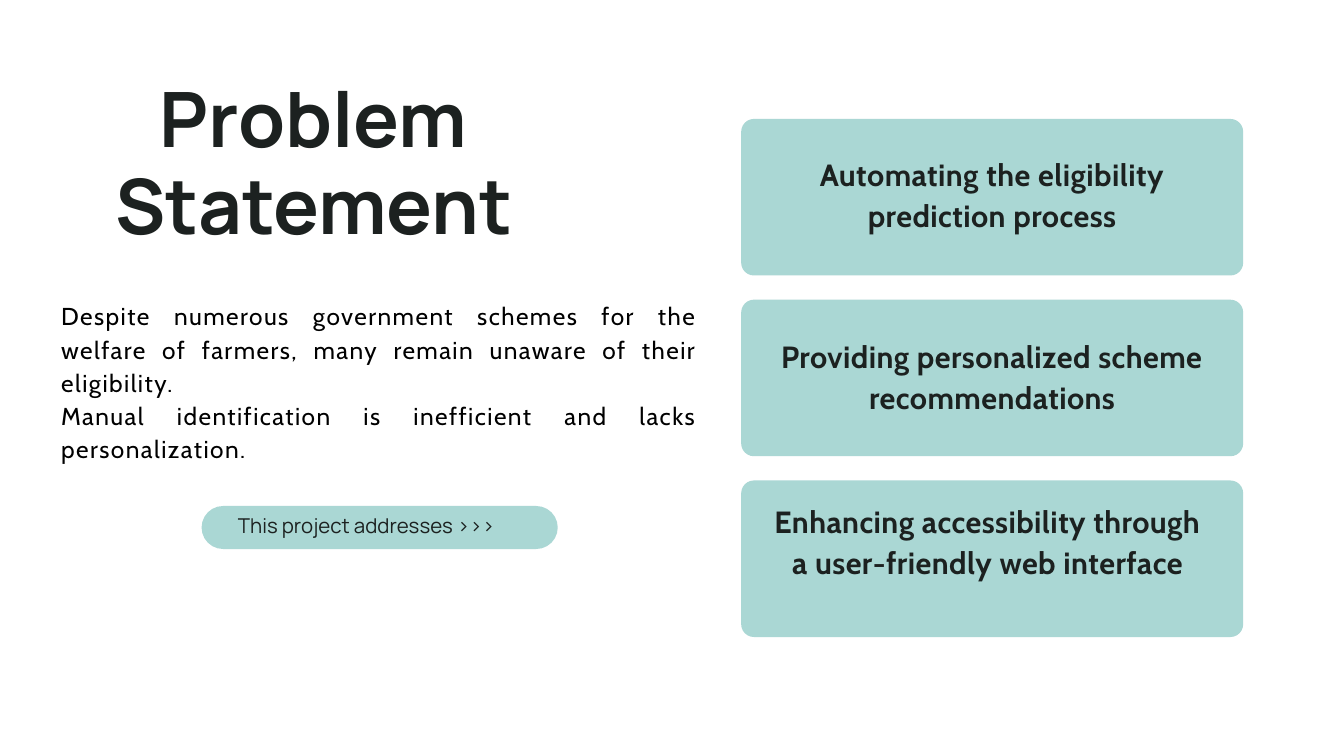
from pptx import Presentation
from pptx.dml.color import RGBColor
from pptx.enum.shapes import MSO_SHAPE
from pptx.enum.text import PP_ALIGN
from pptx.util import Inches, Pt

ROUND = MSO_SHAPE.ROUNDED_RECTANGLE
LEFT, MID, FULL = PP_ALIGN.LEFT, PP_ALIGN.CENTER, PP_ALIGN.JUSTIFY

# Content
TITLE = ["Problem Statement"]
BODY = [
    "Despite numerous government schemes for the welfare of farmers, "
    "many remain unaware of their eligibility.",
    "Manual identification is inefficient and lacks personalization.",
]
LABEL = ["This project addresses >>>"]
# Card text and its box: left, top, width, height
CARDS = [
    ("Automating the eligibility prediction process", (11.57, 2.25, 6.39, 2.02)),
    ("Providing personalized scheme recommendations", (11.57, 4.96, 6.39, 1.83)),
    ("Enhancing accessibility through a user-friendly web interface",
     (11.42, 7.41, 6.56, 2.44)),
]

# Theme: each style is font, size, line height, colour, bold, tracking, alignment
INK, BLACK, MINT = "1C2120", "000000", "AAD7D4"
THEME = {
    "title": ("Manrope", 81.8, 93.2, INK, True, 0, MID),
    "body": ("Cabin", 26.2, 35.5, BLACK, False, 1.6, FULL),
    "card": ("Cabin", 32.8, 44.2, INK, True, 0.5, MID),
    "label": ("Manrope", 21.9, 23.6, INK, False, 0, LEFT),
}

# Card column
CARD_X, CARD_Y, CARD_W, CARD_H, GAP = 11.03, 1.77, 7.47, 2.33, 0.36


def add_panel(slide, box, radius):
    """Add a mint rounded panel; radius is in inches."""
    panel = slide.shapes.add_shape(ROUND, *map(Inches, box))
    panel.adjustments[0] = radius / min(box[2:])
    panel.shadow.inherit = False
    panel.fill.solid()
    panel.fill.fore_color.rgb = RGBColor.from_string(MINT)
    panel.line.fill.background()


def add_text(slide, box, lines, style):
    """Add a text box with one paragraph per line, in a theme style."""
    face, size, lead, color, bold, track, align = THEME[style]
    frame = slide.shapes.add_textbox(*map(Inches, box)).text_frame
    frame.word_wrap = True
    frame.margin_left = frame.margin_right = 0
    frame.margin_top = frame.margin_bottom = 0
    frame.text = "\n".join(lines)
    for para in frame.paragraphs:
        para.alignment = align
        para.line_spacing = Pt(lead)
        font = para.font
        font.name, font.size, font.bold = face, Pt(size), bold
        font.color.rgb = RGBColor.from_string(color)
        if track:  # letter spacing, in hundredths of a point
            for run in para.runs:
                run._r.get_or_add_rPr().set("spc", str(round(track * 100)))


def main():
    deck = Presentation()
    deck.slide_width, deck.slide_height = Inches(20), Inches(11.25)
    slide = deck.slides.add_slide(deck.slide_layouts[6])

    # Title and problem text
    add_text(slide, (0, 1.13, 9.34, 2.69), TITLE, "title")
    add_text(slide, (0.91, 4.43, 9.47, 2.42), BODY, "body")

    # Cards
    for i, (text, box) in enumerate(CARDS):
        top = CARD_Y + i * (CARD_H + GAP)
        add_panel(slide, (CARD_X, top, CARD_W, CARD_H), 0.19)
        add_text(slide, box, [text], "card")

    # Pill label
    add_panel(slide, (3, 7.53, 5.3, 0.64), 0.32)
    add_text(slide, (3.54, 7.67, 4.22, 0.35), LABEL, "label")

    deck.save("out.pptx")


if __name__ == "__main__":
    main()
